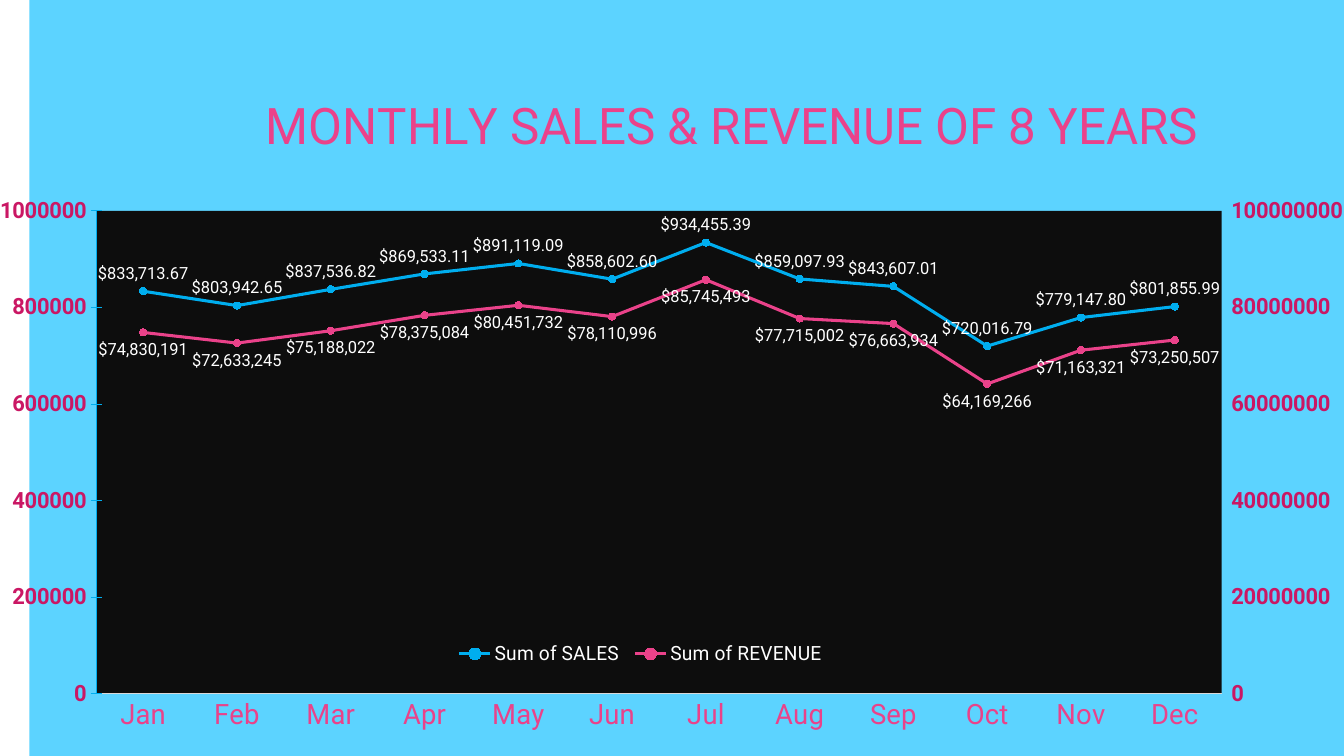
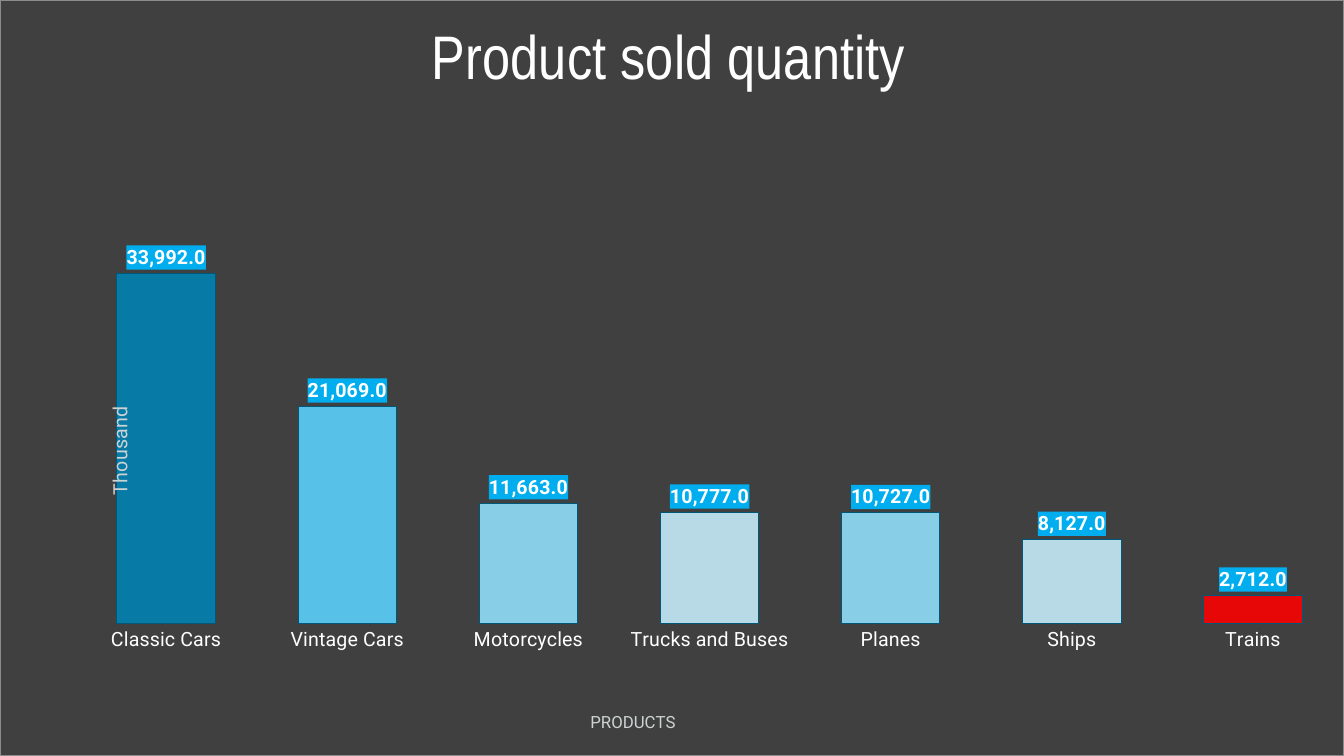
from copy import deepcopy

from lxml import etree
from pptx import Presentation
from pptx.chart.axis import ValueAxis
from pptx.chart.data import CategoryChartData
from pptx.dml.color import RGBColor
from pptx.enum.chart import (XL_CHART_TYPE, XL_LABEL_POSITION, XL_LEGEND_POSITION,
                             XL_MARKER_STYLE, XL_TICK_MARK)
from pptx.oxml import parse_xml
from pptx.oxml.ns import nsdecls, qn
from pptx.util import Cm, Pt

LINE, COLUMN = XL_CHART_TYPE.LINE_MARKERS, XL_CHART_TYPE.COLUMN_CLUSTERED
ABOVE, BELOW, OUTSIDE = (XL_LABEL_POSITION.ABOVE, XL_LABEL_POSITION.BELOW,
                         XL_LABEL_POSITION.OUTSIDE_END)
NO_TICK, CROSS_TICK, OUT_TICK = XL_TICK_MARK.NONE, XL_TICK_MARK.CROSS, XL_TICK_MARK.OUTSIDE
CIRCLE, BOTTOM = XL_MARKER_STYLE.CIRCLE, XL_LEGEND_POSITION.BOTTOM

HEX = {
    "blue": "00AEEF", "sky": "5CD3FF", "deep": "0083B3", "navy": "005778",
    "light": "93E2FF", "pale": "C9F0FF", "pink": "EA428A", "magenta": "CA1764",
    "red": "FF0000", "white": "FFFFFF", "silver": "CDD2D2", "axis": "D9D9D9",
    "border": "8C8C8C", "panel": "404040", "night": "0D0D0D",
}
RGB = {name: RGBColor.from_string(value) for name, value in HEX.items()}
BODY_FONT, NARROW_FONT = "Roboto", "Arial Narrow"
WIDTH, HEIGHT = Cm(33.87), Cm(19.05)


def style(font, size, color, bold=False, name=BODY_FONT):
    font.name, font.size, font.bold = name, Pt(size), bold
    font.color.rgb = RGB[color]


def place(el, x, y, w=None, h=None):
    """Give a title, legend or plot area a position in fractions of the chart."""
    for old in el.findall(qn("c:layout")):
        el.remove(old)
    is_plot = el.tag == qn("c:plotArea")
    layout = parse_xml(f'<c:layout {nsdecls("c")}><c:manualLayout/></c:layout>')
    parts = [("layoutTarget", "inner")] if is_plot else []
    parts += [("xMode", "edge"), ("yMode", "edge"), ("x", x), ("y", y)]
    if w:
        parts += [("w", w), ("h", h)]
    for tag, value in parts:
        etree.SubElement(layout[0], qn(f"c:{tag}"), val=str(value))
    el.insert(0 if is_plot else 1, layout)


prs = Presentation()
prs.slide_width, prs.slide_height = WIDTH, HEIGHT

months = ["Jan", "Feb", "Mar", "Apr", "May", "Jun",
          "Jul", "Aug", "Sep", "Oct", "Nov", "Dec"]
sales = [833713.67, 803942.65, 837536.82, 869533.11, 891119.09, 858602.6,
         934455.39, 859097.93, 843607.01, 720016.79, 779147.8, 801855.99]
revenue = [74830191, 72633245, 75188022, 78375084, 80451732, 78110996,
           85745493, 77715002, 76663934, 64169266, 71163321, 73250507]
products = ["Classic Cars", "Vintage Cars", "Motorcycles", "Trucks and Buses",
            "Planes", "Ships", "Trains"]
quantities = [33992, 21069, 11663, 10777, 10727, 8127, 2712]

# Both slides: one full-slide chart with a title and a coloured background
chart_specs = [
    dict(kind=LINE, cats=months, series=[("Sum of SALES", sales), ("Sum of REVENUE", revenue)],
         title="MONTHLY SALES & REVENUE OF 8 YEARS", title_font=(36, "pink"),
         title_at=(0.173, 0.108), plot=(0.051, 0.279, 0.856, 0.639),
         fill="sky", border=None, cat_font=(20, "pink"), top=1000000),
    dict(kind=COLUMN, cats=products, series=[("Series 1", quantities)],
         title="Product sold quantity", title_font=(44, "white", False, NARROW_FONT),
         title_at=(0.313, 0.02), plot=(0.056, 0.28, 0.944, 0.545),
         fill="panel", border="border", cat_font=(14, "white"), top=40000),
]
charts = []
for spec in chart_specs:
    s = prs.slides.add_slide(prs.slide_layouts[6])
    data = CategoryChartData()
    data.categories = spec["cats"]
    for name, values in spec["series"]:
        data.add_series(name, values)
    chart = s.shapes.add_chart(spec["kind"], 0, 0, WIDTH, HEIGHT, data).chart
    charts.append(chart)
    chart.font.name, chart.font.size = BODY_FONT, Pt(10)
    chart.has_legend = False
    chart.plots[0].vary_by_categories = False

    title = chart.chart_title
    title.text_frame.text = spec["title"]
    style(title.text_frame.paragraphs[0].font, *spec["title_font"])
    place(chart.element.xpath(".//c:chart/c:title")[0], *spec["title_at"])
    place(chart.element.xpath(".//c:plotArea")[0], *spec["plot"])

    if spec["border"]:
        outline = (f'<a:ln w="{Pt(0.5)}"><a:solidFill><a:srgbClr val="{HEX[spec["border"]]}"/>'
                   '</a:solidFill></a:ln>')
    else:
        outline = "<a:ln><a:noFill/></a:ln>"
    chart.element.find(qn("c:chart")).addnext(parse_xml(
        f'<c:spPr {nsdecls("c", "a")}><a:solidFill><a:srgbClr val="{HEX[spec["fill"]]}"/>'
        f'</a:solidFill>{outline}</c:spPr>'))

    cat, val = chart.category_axis, chart.value_axis
    cat.major_tick_mark = NO_TICK
    style(cat.tick_labels.font, *spec["cat_font"])
    cat.has_major_gridlines = val.has_major_gridlines = False
    val.minimum_scale, val.maximum_scale = 0, spec["top"]

# Slide 1: sales and revenue lines
chart = charts[0]
cat, val = chart.category_axis, chart.value_axis
cat.format.line.color.rgb, cat.format.line.width = RGB["axis"], Pt(0.75)
val.format.line.color.rgb, val.format.line.width = RGB["blue"], Pt(0.75)
val.major_tick_mark, val.major_unit = CROSS_TICK, 200000
val.tick_labels.number_format, val.tick_labels.number_format_is_linked = "0", False
style(val.tick_labels.font, 16, "magenta", True)

chart.has_legend = True
chart.legend.position = BOTTOM
chart.legend.include_in_layout = False
style(chart.legend.font, 14, "white")
place(chart.element.xpath(".//c:legend")[0], 0.32, 0.84, 0.29, 0.05)

line_styles = [("blue", ABOVE, "[$$-409]#,##0.00"), ("pink", BELOW, "[$$-409]#,##0")]
for series, (color, position, number_format) in zip(chart.plots[0].series, line_styles):
    series.smooth = False
    series.format.line.color.rgb, series.format.line.width = RGB[color], Pt(2.25)
    series.marker.style, series.marker.size = CIRCLE, 5
    series.marker.format.fill.solid()
    series.marker.format.fill.fore_color.rgb = RGB[color]
    series.marker.format.line.color.rgb = RGB[color]
    labels = series.data_labels
    labels.show_value, labels.position = True, position
    labels.number_format, labels.number_format_is_linked = number_format, False
    style(labels.font, 12, "white")

# Revenue moves to a second line group with its own axes
plot_area = chart.element.xpath(".//c:plotArea")[0]
left_group = plot_area.find(qn("c:lineChart"))
right_group = deepcopy(left_group)
left_group.remove(left_group.findall(qn("c:ser"))[1])
right_group.remove(right_group.findall(qn("c:ser"))[0])
left_group.addnext(right_group)

cat_id, val_id = "50010", "50020"
for ax_id, value in zip(right_group.findall(qn("c:axId")), (cat_id, val_id)):
    ax_id.set("val", value)
left_cat, left_val = plot_area.find(qn("c:catAx")), plot_area.find(qn("c:valAx"))
right_cat, right_val = deepcopy(left_cat), deepcopy(left_val)
left_val.addnext(right_val)
right_val.addnext(right_cat)
for axis, own, other in ((right_cat, cat_id, val_id), (right_val, val_id, cat_id)):
    axis.find(qn("c:axId")).set("val", own)
    axis.find(qn("c:crossAx")).set("val", other)
right_val.find(qn("c:axPos")).set("val", "r")
right_val.find(qn("c:crosses")).set("val", "max")
right_cat.find(qn("c:delete")).set("val", "1")

right_axis = ValueAxis(right_val)
right_axis.maximum_scale, right_axis.major_unit = 100000000, 20000000
right_axis.major_tick_mark = OUT_TICK
right_axis.format.line.fill.background()
plot_area.append(parse_xml(
    f'<c:spPr {nsdecls("c", "a")}><a:solidFill><a:srgbClr val="{HEX["night"]}"/>'
    '</a:solidFill></c:spPr>'))

# Slide 2: quantity by product
chart = charts[1]
cat, val = chart.category_axis, chart.value_axis
cat.format.line.fill.background()
axis_titles = [(cat, "PRODUCTS", 12, (0.437, 0.937), 0),
               (val, "Thousand", 14, (0.076, 0.533), -90)]
for axis, text, size, at, angle in axis_titles:
    tf = axis.axis_title.text_frame
    tf.text = text
    style(tf.paragraphs[0].font, size, "silver")
    el = axis.axis_title.element
    place(el, *at)
    el.xpath("./c:tx/c:rich/a:bodyPr")[0].set("rot", str(angle * 60000))
val.visible = False

plot = chart.plots[0]
plot.gap_width = 84
series = plot.series[0]
bar_colors = ["deep", "sky", "light", "pale", "light", "pale", "red"]
bars = [(series, "blue")] + [(series.points[i], c) for i, c in enumerate(bar_colors)]
for bar, color in bars:
    bar.format.fill.solid()
    bar.format.fill.fore_color.rgb = RGB[color]
    bar.format.line.color.rgb, bar.format.line.width = RGB["navy"], Pt(0.75)
for color in chart.element.xpath(".//c:ser//c:spPr/a:solidFill/a:srgbClr"):
    etree.SubElement(color, qn("a:alpha"), val="88000")

labels = series.data_labels
labels.show_value, labels.position = True, OUTSIDE
labels.number_format, labels.number_format_is_linked = "#,##0.0", False
style(labels.font, 14, "white", True)
chart.element.xpath(".//c:ser/c:dLbls/c:numFmt")[0].addnext(parse_xml(
    f'<c:spPr {nsdecls("c", "a")}><a:solidFill><a:srgbClr val="{HEX["blue"]}"/>'
    '</a:solidFill></c:spPr>'))

prs.save("out.pptx")
